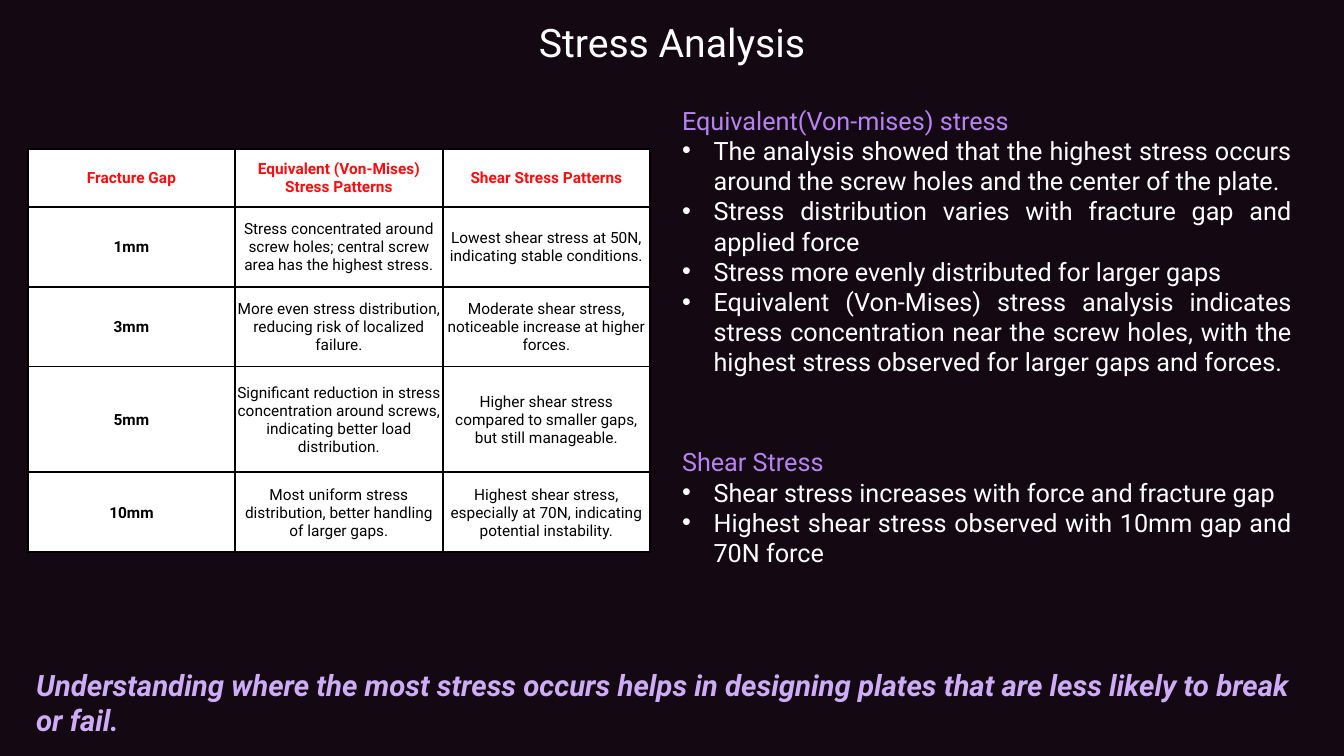
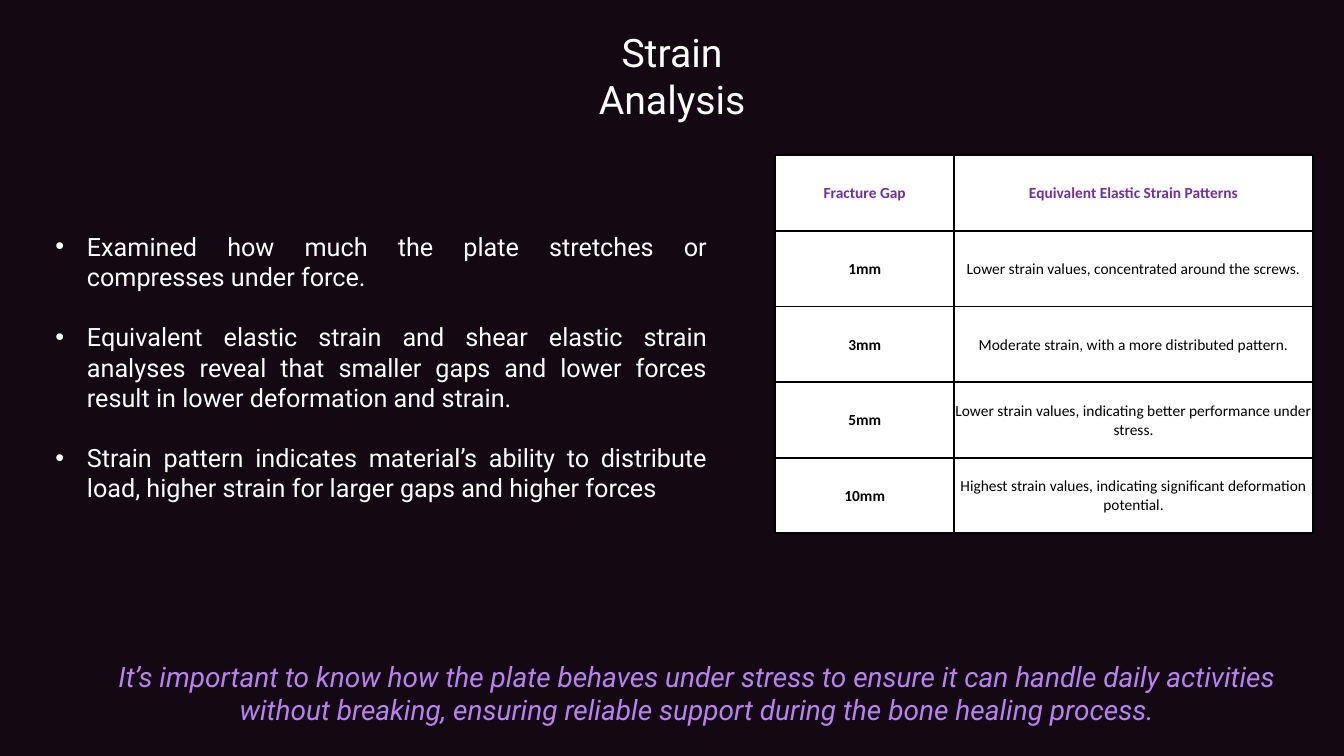
from lxml.etree import SubElement
from pptx import Presentation
from pptx.dml.color import RGBColor
from pptx.enum.text import MSO_ANCHOR, MSO_AUTO_SIZE, PP_ALIGN
from pptx.oxml import parse_xml
from pptx.oxml.ns import nsdecls, qn
from pptx.util import Pt

# Shared colours
BACKGROUND = "140812"
WHITE = "FFFFFF"
BLACK = "000000"
LILAC = "B783F2"
PALE_LILAC = "CFACF7"
RED = "FC0C0E"
PURPLE = "7030A0"

# Layouts of the default template
TITLE_AND_CONTENT, TWO_CONTENT = 1, 3


def color(hex_string):
    return RGBColor.from_string(hex_string)


class Deck:
    """Holds the style and the slide being built."""

    font = "Roboto"
    title_size = 28
    body_size = 18
    cell_size = 11
    cell_inset = 0.7
    border_width = 1.5
    bullet_indent = 22.5

    def __init__(self):
        self.presentation = Presentation()
        self.presentation.slide_width = Pt(960)
        self.presentation.slide_height = Pt(540)
        fill = self.presentation.slide_master.background.fill
        fill.solid()
        fill.fore_color.rgb = color(BACKGROUND)
        self.slide = None

    def add_slide(self, layout):
        layouts = self.presentation.slide_layouts
        self.slide = self.presentation.slides.add_slide(layouts[layout])

    def place(self, shape, left, top, width, height):
        shape.left, shape.top = Pt(left), Pt(top)
        shape.width, shape.height = Pt(width), Pt(height)
        text_frame = shape.text_frame
        text_frame.word_wrap = True
        text_frame.auto_size = MSO_AUTO_SIZE.NONE
        text_frame.vertical_anchor = MSO_ANCHOR.TOP
        return text_frame

    def style(self, paragraph, size, text_color, align, font=None,
              bold=False, italic=False):
        paragraph.alignment = align
        paragraph.line_spacing = 1.0
        paragraph.space_before = paragraph.space_after = Pt(0)
        for run in paragraph.runs:
            run.font.name = font or self.font
            run.font.size = Pt(size)
            run.font.bold = bold
            run.font.italic = italic
            run.font.color.rgb = color(text_color)

    def title(self, text, top, width, height):
        """Title centred across the slide."""
        left = (960 - width) / 2
        text_frame = self.place(self.slide.shapes.title, left, top, width, height)
        text_frame.text = text
        self.style(text_frame.paragraphs[0], self.title_size, WHITE, PP_ALIGN.CENTER)

    def bullets(self, index, box, items, heading=None, gap=0):
        """Bulleted list in a body placeholder, with an optional heading."""
        text_frame = self.place(self.slide.placeholders[index], *box)
        lines = [heading] + items if heading else items
        text_frame.text = "\n".join(lines)
        for number, paragraph in enumerate(text_frame.paragraphs):
            is_heading = bool(heading) and number == 0
            self.style(paragraph, self.body_size, LILAC if is_heading else WHITE,
                       PP_ALIGN.JUSTIFY)
            if number:
                paragraph.space_before = Pt(gap)
            properties = paragraph._p.get_or_add_pPr()
            indent = 0 if is_heading else Pt(self.bullet_indent)
            properties.set("marL", str(indent))
            properties.set("indent", str(-indent))
            if is_heading:
                SubElement(properties, qn("a:buNone"))

    def takeaway(self, text, box, size, text_color, align, bold=False):
        """Closing sentence at the foot of the slide."""
        shape = self.slide.shapes.add_textbox(*map(Pt, box))
        text_frame = self.place(shape, *box)
        text_frame.text = text
        self.style(text_frame.paragraphs[0], size, text_color, align,
                   bold=bold, italic=True)

    def table(self, left, top, columns, heights, rows, header_color, font=None):
        """White table with black rules, a coloured header and a bold first column."""
        frame = self.slide.shapes.add_table(
            len(rows), len(columns), Pt(left), Pt(top),
            Pt(sum(columns)), Pt(sum(heights)))
        table = frame.table
        table.first_row = table.horz_banding = False
        for column, width in zip(table.columns, columns):
            column.width = Pt(width)
        for row_number, texts in enumerate(rows):
            table.rows[row_number].height = Pt(heights[row_number])
            for column_number, text in enumerate(texts):
                cell = table.cell(row_number, column_number)
                is_header = row_number == 0
                self.fill_cell(cell, text, header_color if is_header else BLACK,
                               is_header or column_number == 0, font)

    def fill_cell(self, cell, text, text_color, bold, font):
        cell.text_frame.text = text
        cell.vertical_anchor = MSO_ANCHOR.MIDDLE
        cell.margin_left = cell.margin_right = cell.margin_top = Pt(self.cell_inset)
        cell.margin_bottom = 0
        cell.fill.solid()
        cell.fill.fore_color.rgb = color(WHITE)
        self.style(cell.text_frame.paragraphs[0], self.cell_size, text_color,
                   PP_ALIGN.CENTER, font, bold)
        # Cell borders come before the fill
        properties = cell._tc.get_or_add_tcPr()
        for position, side in enumerate("LRTB"):
            properties.insert(position, parse_xml(
                f'<a:ln{side} {nsdecls("a")} w="{Pt(self.border_width)}"><a:solidFill>'
                f'<a:srgbClr val="{BLACK}"/></a:solidFill></a:ln{side}>'))


def add_stress_slide(deck):
    deck.add_slide(TWO_CONTENT)
    deck.title("Stress Analysis", 9.4, 226, 41)
    deck.bullets(1, (480, 71.3, 450, 204), [
        "The analysis showed that the highest stress occurs around the screw holes "
        "and the center of the plate.",
        "Stress distribution varies with fracture gap and applied force",
        "Stress more evenly distributed for larger gaps",
        "Equivalent (Von-Mises) stress analysis indicates stress concentration near "
        "the screw holes, with the highest stress observed for larger gaps and forces.",
    ], heading="Equivalent(Von-mises) stress")
    deck.bullets(2, (480, 315.4, 450, 94), [
        "Shear stress increases with force and fracture gap",
        "Highest shear stress observed with 10mm gap and 70N force",
    ], heading="Shear Stress")
    deck.takeaway(
        "Understanding where the most stress occurs helps in designing plates that "
        "are less likely to break or fail.",
        (18.7, 473, 923, 60), 21, PALE_LILAC, PP_ALIGN.LEFT, bold=True)
    deck.table(19.8, 106.6, [148.2] * 3, [41.3, 57, 57, 75.6, 57], [
        ("Fracture Gap", "Equivalent (Von-Mises) Stress Patterns",
         "Shear Stress Patterns"),
        ("1mm", "Stress concentrated around screw holes; central screw area has the "
         "highest stress.",
         "Lowest shear stress at 50N, indicating stable conditions."),
        ("3mm", "More even stress distribution, reducing risk of localized failure.",
         "Moderate shear stress, noticeable increase at higher forces."),
        ("5mm", "Significant reduction in stress concentration around screws, "
         "indicating better load distribution.",
         "Higher shear stress compared to smaller gaps, but still manageable."),
        ("10mm", "Most uniform stress distribution, better handling of larger gaps.",
         "Highest shear stress, especially at 70N, indicating potential instability."),
    ], RED)


def add_strain_slide(deck):
    deck.add_slide(TITLE_AND_CONTENT)
    deck.title("Strain Analysis", 16.6, 170, 75)
    deck.bullets(1, (32.4, 161.3, 480, 204), [
        "Examined how much the plate stretches or compresses under force.",
        "Equivalent elastic strain and shear elastic strain analyses reveal that "
        "smaller gaps and lower forces result in lower deformation and strain.",
        "Strain pattern indicates material’s ability to distribute load, higher "
        "strain for larger gaps and higher forces",
    ], gap=21.6)
    deck.takeaway(
        "It’s important to know how the plate behaves under stress to ensure it can "
        "handle daily activities without breaking, ensuring reliable support during "
        "the bone healing process.",
        (74.9, 467.3, 846, 56), 20, LILAC, PP_ALIGN.CENTER)
    deck.table(553.7, 110.9, [128, 256], [54] * 5, [
        ("Fracture Gap", "Equivalent Elastic Strain Patterns"),
        ("1mm", "Lower strain values, concentrated around the screws."),
        ("3mm", "Moderate strain, with a more distributed pattern."),
        ("5mm", "Lower strain values, indicating better performance under stress."),
        ("10mm", "Highest strain values, indicating significant deformation potential."),
    ], PURPLE, font="Calibri")


def main():
    deck = Deck()
    add_stress_slide(deck)
    add_strain_slide(deck)
    deck.presentation.save("out.pptx")


if __name__ == "__main__":
    main()
